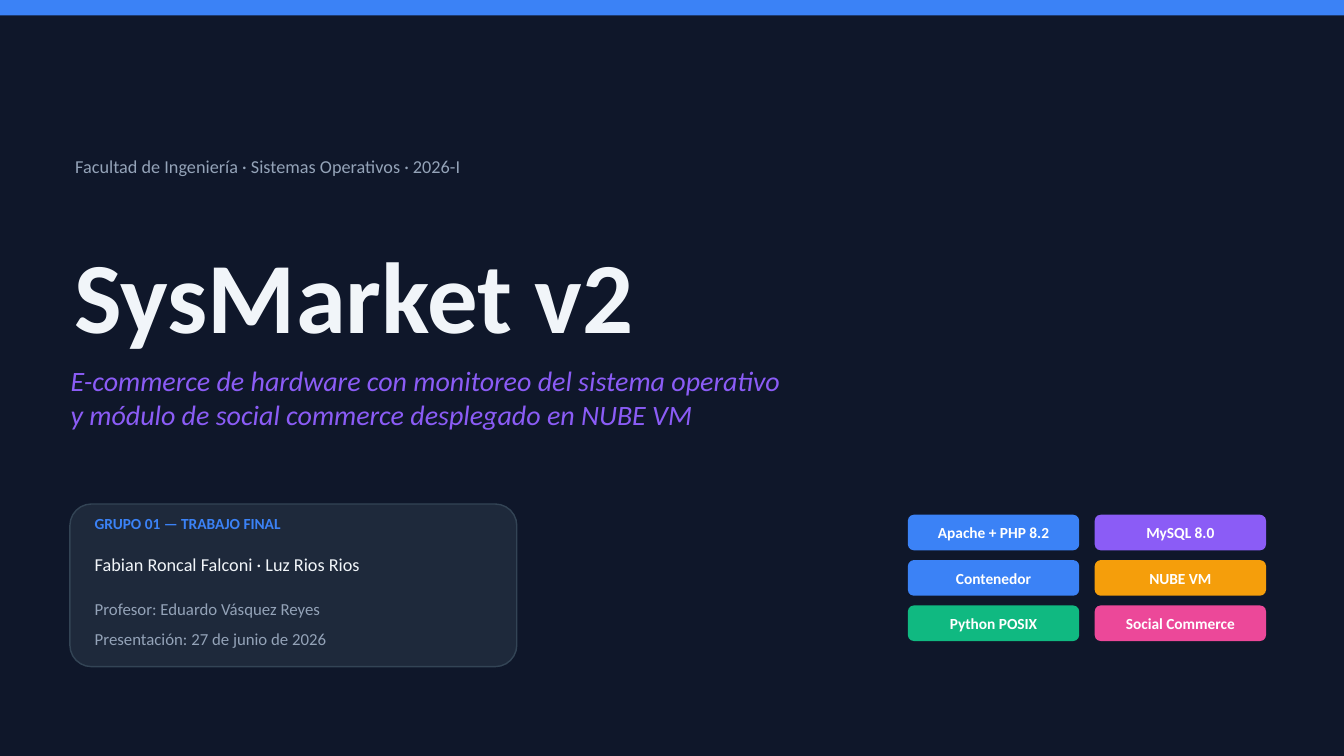
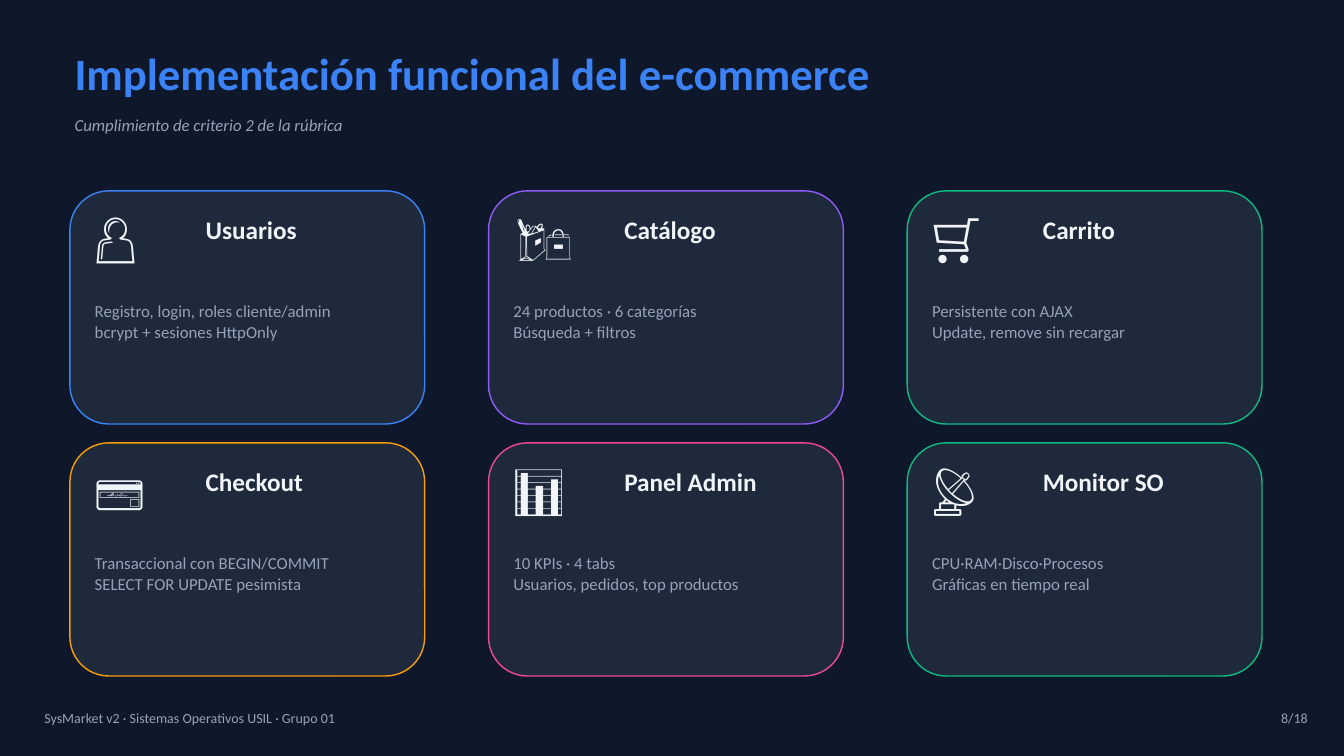
from pptx import Presentation
from pptx.dml.color import RGBColor
from pptx.enum.shapes import MSO_SHAPE
from pptx.enum.text import MSO_ANCHOR, MSO_AUTO_SIZE, PP_ALIGN
from pptx.util import Inches, Pt

# Shared colours and font
NAVY = RGBColor(0x0F, 0x17, 0x2A)
PANEL = RGBColor(0x1E, 0x29, 0x3B)
EDGE = RGBColor(0x33, 0x44, 0x55)
WHITE = RGBColor(0xFF, 0xFF, 0xFF)
LIGHT = RGBColor(0xF1, 0xF5, 0xF9)
MUTED = RGBColor(0x94, 0xA3, 0xB8)
BLUE = RGBColor(0x3B, 0x82, 0xF6)
VIOLET = RGBColor(0x8B, 0x5C, 0xF6)
GREEN = RGBColor(0x10, 0xB9, 0x81)
AMBER = RGBColor(0xF5, 0x9E, 0x0B)
PINK = RGBColor(0xEC, 0x48, 0x99)
FONT = "Calibri"


def write(s, text, x, y, w, h, shape=None, size=18, color=MUTED, bold=False,
          italic=False, align=PP_ALIGN.LEFT, anchor=MSO_ANCHOR.TOP):
    """Put text in a new text box, or in the given shape."""
    box = Inches(x), Inches(y), Inches(w), Inches(h)
    sp = shape if shape is not None else s.shapes.add_textbox(*box)
    sp.left, sp.top, sp.width, sp.height = box
    tf = sp.text_frame
    tf.word_wrap = True
    tf.auto_size = MSO_AUTO_SIZE.NONE
    tf.vertical_anchor = anchor
    tf.margin_left = tf.margin_right = tf.margin_top = tf.margin_bottom = 0
    tf.text = text
    for p in tf.paragraphs:
        p.alignment = align
        p.line_spacing = Pt(size * 1.2)
        p.space_before = Pt(0)
        for r in p.runs:
            r.font.name, r.font.size = FONT, Pt(size)
            r.font.bold, r.font.italic = bold, italic
            r.font.color.rgb = color


def panel(s, x, y, w, h, fill, radius=0, line=None):
    """Add a filled rectangle, rounded if it has a radius."""
    kind = MSO_SHAPE.ROUNDED_RECTANGLE if radius else MSO_SHAPE.RECTANGLE
    sp = s.shapes.add_shape(kind, Inches(x), Inches(y), Inches(w), Inches(h))
    if radius:
        sp.adjustments[0] = radius / min(w, h)
    sp.shadow.inherit = False
    sp.fill.solid()
    sp.fill.fore_color.rgb = fill
    if line is None:
        sp.line.fill.background()
    else:
        sp.line.color.rgb = line
        sp.line.width = Pt(1.5)
    return sp


prs = Presentation()
prs.slide_width, prs.slide_height = Inches(20), Inches(11.25)
cover, features = [prs.slides.add_slide(prs.slide_layouts[5]) for _ in range(2)]
for s in (cover, features):
    s.background.fill.solid()
    s.background.fill.fore_color.rgb = NAVY

# Cover: top band and headings
s = cover
panel(s, 0, 0, 20, 0.23, BLUE)
write(s, "Facultad de Ingeniería · Sistemas Operativos · 2026-I",
      1.12, 2.31, 17.9, 0.61, size=19.5)
write(s, "SysMarket v2", 1.11, 3.47, 17.9, 2, shape=s.shapes.title,
      size=108, color=LIGHT, bold=True)
write(s, "E-commerce de hardware con monitoreo del sistema operativo\n"
         "y módulo de social commerce desplegado en NUBE VM",
      1.05, 5.41, 17.9, 1.53, size=30, color=VIOLET, italic=True)

# Cover: group card
panel(s, 1.04, 7.5, 6.65, 2.42, PANEL, radius=0.32, line=EDGE)
write(s, "GRUPO 01 — TRABAJO FINAL", 1.41, 7.65, 6, 0.5,
      size=16.5, color=BLUE, bold=True)
write(s, "Fabian Roncal Falconi · Luz Rios Rios", 1.41, 8.23, 6, 0.4,
      size=19.5, color=LIGHT)
write(s, "Profesor: Eduardo Vásquez Reyes", 1.41, 8.91, 6, 0.4)
write(s, "Presentación: 27 de junio de 2026", 1.41, 9.36, 6, 0.4)

# Cover: technology badges, two per row
badges = [("Apache + PHP 8.2", BLUE), ("MySQL 8.0", VIOLET),
          ("Contenedor", BLUE), ("NUBE VM", AMBER),
          ("Python POSIX", GREEN), ("Social Commerce", PINK)]
for i, (label, color) in enumerate(badges):
    row, col = divmod(i, 2)
    box = 13.51 + col * 2.78, 7.66 + row * 0.675, 2.55, 0.53
    badge = panel(s, *box, color, radius=0.09)
    write(s, label, *box, shape=badge, size=16.5, color=WHITE, bold=True,
          align=PP_ALIGN.CENTER, anchor=MSO_ANCHOR.MIDDLE)

# Features: title and subtitle
s = features
write(s, "Implementación funcional del e-commerce", 1.11, 0.68, 17.9, 0.95,
      shape=s.shapes.title, size=48, color=BLUE, bold=True)
write(s, "Cumplimiento de criterio 2 de la rúbrica", 1.11, 1.71, 17.9, 0.6,
      italic=True)

# Features: cards, three per row
cards = [
    ("👤", "Usuarios", BLUE,
     "Registro, login, roles cliente/admin\nbcrypt + sesiones HttpOnly"),
    ("🛍", "Catálogo", VIOLET,
     "24 productos · 6 categorías\nBúsqueda + filtros"),
    ("🛒", "Carrito", GREEN,
     "Persistente con AJAX\nUpdate, remove sin recargar"),
    ("💳", "Checkout", AMBER,
     "Transaccional con BEGIN/COMMIT\nSELECT FOR UPDATE pesimista"),
    ("📊", "Panel Admin", PINK,
     "10 KPIs · 4 tabs\nUsuarios, pedidos, top productos"),
    ("📡", "Monitor SO", GREEN,
     "CPU·RAM·Disco·Procesos\nGráficas en tiempo real"),
]
for i, (icon, name, color, detail) in enumerate(cards):
    row, col = divmod(i, 3)
    x, y = 1.04 + col * 6.23, 2.84 + row * 3.75
    panel(s, x, y, 5.28, 3.47, PANEL, radius=0.58, line=color)
    write(s, icon, x + 0.37, y + 0.21, 1.39, 1.13, size=54, color=LIGHT)
    write(s, name, x + 2.02, y + 0.35, 3.04, 0.77, size=27, color=LIGHT,
          bold=True)
    write(s, detail, x + 0.37, y + 1.64, 4.54, 1.65)

# Features: footer
write(s, "SysMarket v2 · Sistemas Operativos USIL · Grupo 01",
      0.66, 10.56, 11.9, 0.6, size=15)
write(s, "8/18", 18.07, 10.56, 1.39, 0.6, size=15, align=PP_ALIGN.RIGHT)

prs.save("out.pptx")
